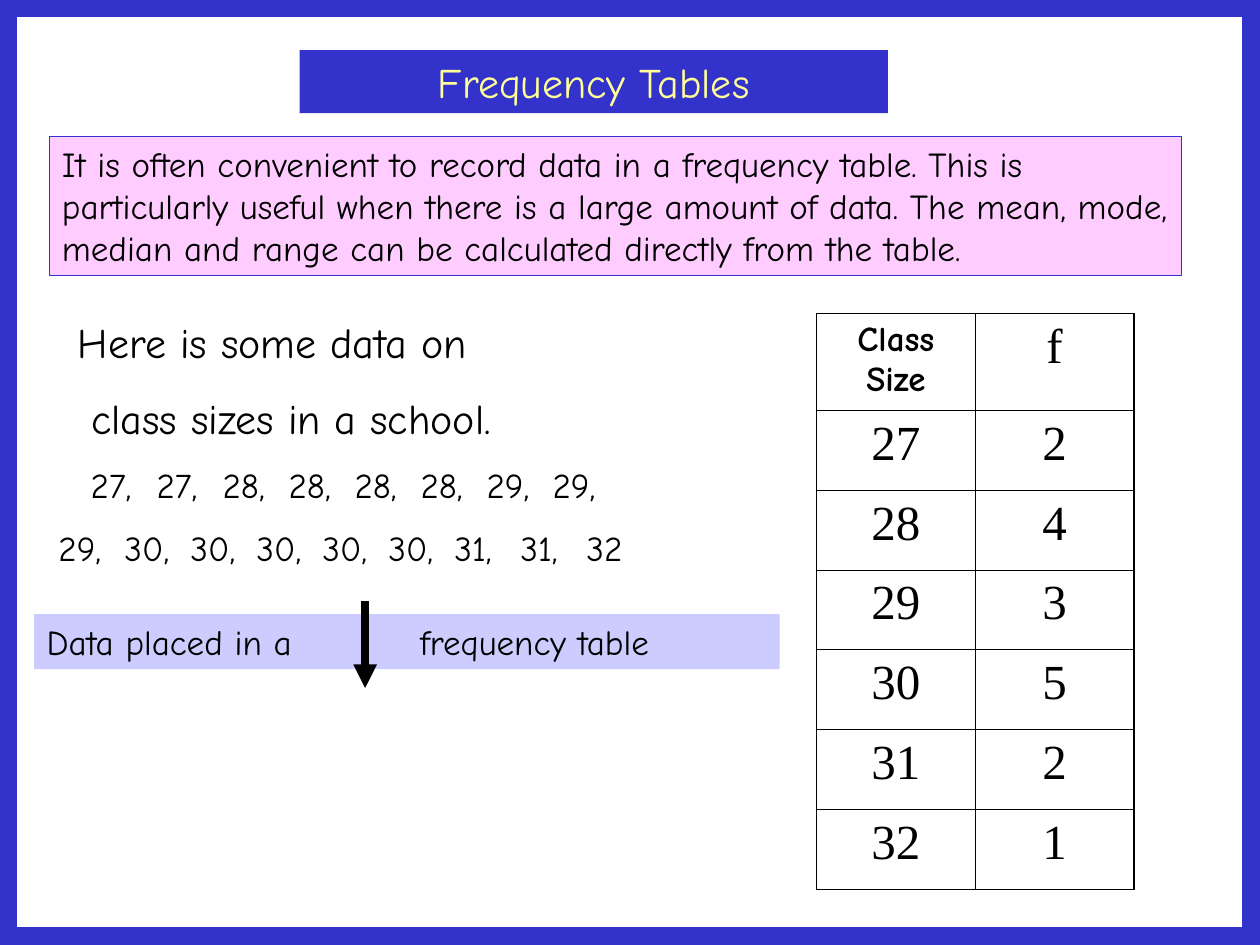
from lxml.etree import SubElement
from pptx import Presentation
from pptx.dml.color import RGBColor
from pptx.enum.shapes import MSO_CONNECTOR as Connector, MSO_SHAPE as Shape
from pptx.enum.text import MSO_ANCHOR as Anchor, PP_ALIGN as Align
from pptx.oxml.ns import qn
from pptx.util import Cm, Pt

COMIC = "Comic Neue"
SERIF = "Times New Roman"
BLUE = "3333CC"
BLACK = "000000"
SIZES = [27] * 2 + [28] * 4 + [29] * 3 + [30] * 5 + [31] * 2 + [32]
FIRST_LINE_COUNT = 8
INTRO = (
    "It is often convenient to record data in a frequency table. This is "
    "particularly useful when there is a large amount of data. The mean, mode, "
    "median and range can be calculated directly from the table."
)


def rgb(code):
    """Turn a hex string into a colour."""
    return RGBColor.from_string(code)


def style(paragraph, size, color=BLACK, font=COMIC, align=Align.LEFT, bold=False):
    """Set the alignment and font of a paragraph."""
    paragraph.alignment = align
    paragraph.font.name = font
    paragraph.font.size = Pt(size)
    paragraph.font.bold = bold
    paragraph.font.color.rgb = rgb(color)


def set_tabs(paragraph, stops):
    """Give a paragraph its tab stops in cm."""
    tabs = SubElement(paragraph._p.get_or_add_pPr(), qn("a:tabLst"))
    for stop in stops:
        SubElement(tabs, qn("a:tab"), pos=str(Cm(stop)), algn="l")


def add_panel(slide, box, fill=None, line=None, line_width=0.75):
    """Add a rectangle and return its text frame."""
    panel = slide.shapes.add_shape(Shape.RECTANGLE, *map(Cm, box))
    panel.shadow.inherit = False
    if fill:
        panel.fill.solid()
        panel.fill.fore_color.rgb = rgb(fill)
    else:
        panel.fill.background()
    if line:
        panel.line.color.rgb = rgb(line)
        panel.line.width = Pt(line_width)
    else:
        panel.line.fill.background()
    panel.text_frame.word_wrap = True
    panel.text_frame.vertical_anchor = Anchor.TOP
    return panel.text_frame


def add_text_box(slide, box):
    """Add a wrapping text box and return its text frame."""
    frame = slide.shapes.add_textbox(*map(Cm, box)).text_frame
    frame.word_wrap = True
    return frame


def add_data_row(slide, left, top, sizes, ending=""):
    """Add one line of class sizes at equal tab steps."""
    row = add_text_box(slide, (left, top, 13, 1.1)).paragraphs[0]
    row.text = ",\t".join(map(str, sizes)) + ending
    set_tabs(row, [1.33 * step for step in range(1, len(sizes))])
    style(row, 20)


def add_lead_in(slide):
    """Add the two lines that introduce the data."""
    frame = add_text_box(slide, (1.32, 6.25, 9.91, 2.82))
    opening, continuation = frame.paragraphs[0], frame.add_paragraph()
    opening.text = "Here is some data on"
    continuation.text = "class sizes in a school."
    continuation.space_before = Pt(15)
    continuation._p.get_or_add_pPr().set("marL", str(Cm(0.27)))
    for paragraph in (opening, continuation):
        style(paragraph, 24)


def add_arrow(slide, x, top, bottom):
    """Add a thick downward arrow."""
    arrow = slide.shapes.add_connector(
        Connector.STRAIGHT, Cm(x), Cm(top), Cm(x), Cm(bottom))
    arrow.line.color.rgb = rgb(BLACK)
    arrow.line.width = Pt(4.5)
    SubElement(arrow.line._get_or_add_ln(), qn("a:tailEnd"), type="triangle")
    SubElement(arrow._element.spPr, qn("a:effectLst"))


def set_borders(cell, outer_sides):
    """Draw the cell borders, heavier on the outer sides."""
    properties = cell._tc.get_or_add_tcPr()
    for side in "LRTB":
        width = Pt(1.08 if side in outer_sides else 0.45)
        border = SubElement(properties, qn(f"a:ln{side}"), w=str(width))
        fill = SubElement(border, qn("a:solidFill"))
        SubElement(fill, qn("a:srgbClr"), val=BLACK)


def add_frequency_table(slide):
    """Add the table counting each class size."""
    counts = [(size, SIZES.count(size)) for size in sorted(set(SIZES))]
    rows = [("Class Size", "f")] + counts
    last = len(rows) - 1
    table = slide.shapes.add_table(
        len(rows), 2, Cm(16.46), Cm(6.32), Cm(6.4), Cm(11.61)).table
    table.first_row = table.horz_banding = False
    for column in table.columns:
        column.width = Cm(3.2)
    for r, values in enumerate(rows):
        table.rows[r].height = Cm(1.61 if r else 1.95)
        for c, value in enumerate(values):
            cell = table.cell(r, c)
            cell.text = str(value)
            outer = "LR"[c] + ("T" if r == 0 else "B" if r == last else "")
            set_borders(cell, outer)
            cell.fill.background()
            paragraph = cell.text_frame.paragraphs[0]
            if (r, c) == (0, 0):
                style(paragraph, 20, align=Align.CENTER, bold=True)
            else:
                style(paragraph, 28, font=SERIF, align=Align.CENTER)


def main():
    """Build and save the frequency tables slide."""
    deck = Presentation()
    deck.slide_width, deck.slide_height = Cm(25.4), Cm(19.05)
    slide = deck.slides.add_slide(deck.slide_layouts[6])

    add_data_row(slide, 1.58, 9.22, SIZES[:FIRST_LINE_COUNT], ",")
    add_data_row(slide, 0.93, 10.49, SIZES[FIRST_LINE_COUNT:])

    title = add_panel(slide, (6.04, 1.01, 11.86, 1.27), BLUE).paragraphs[0]
    title.text = "Frequency Tables"
    style(title, 24, "FFFF99", align=Align.CENTER)

    intro = add_panel(slide, (1, 2.75, 22.82, 2.8), "FFCCFF", BLUE).paragraphs[0]
    intro.text = INTRO
    style(intro, 20)

    add_lead_in(slide)

    caption = add_panel(slide, (0.69, 12.38, 15.03, 1.11), "CCCCFF").paragraphs[0]
    caption.text = "Data placed in a\tfrequency table"
    set_tabs(caption, [7.53])
    style(caption, 20)
    add_arrow(slide, 7.36, 12.12, 13.87)

    add_panel(slide, (0, 0, 25.4, 19.05), line=BLUE, line_width=20)
    add_frequency_table(slide)
    deck.save("out.pptx")


if __name__ == "__main__":
    main()
